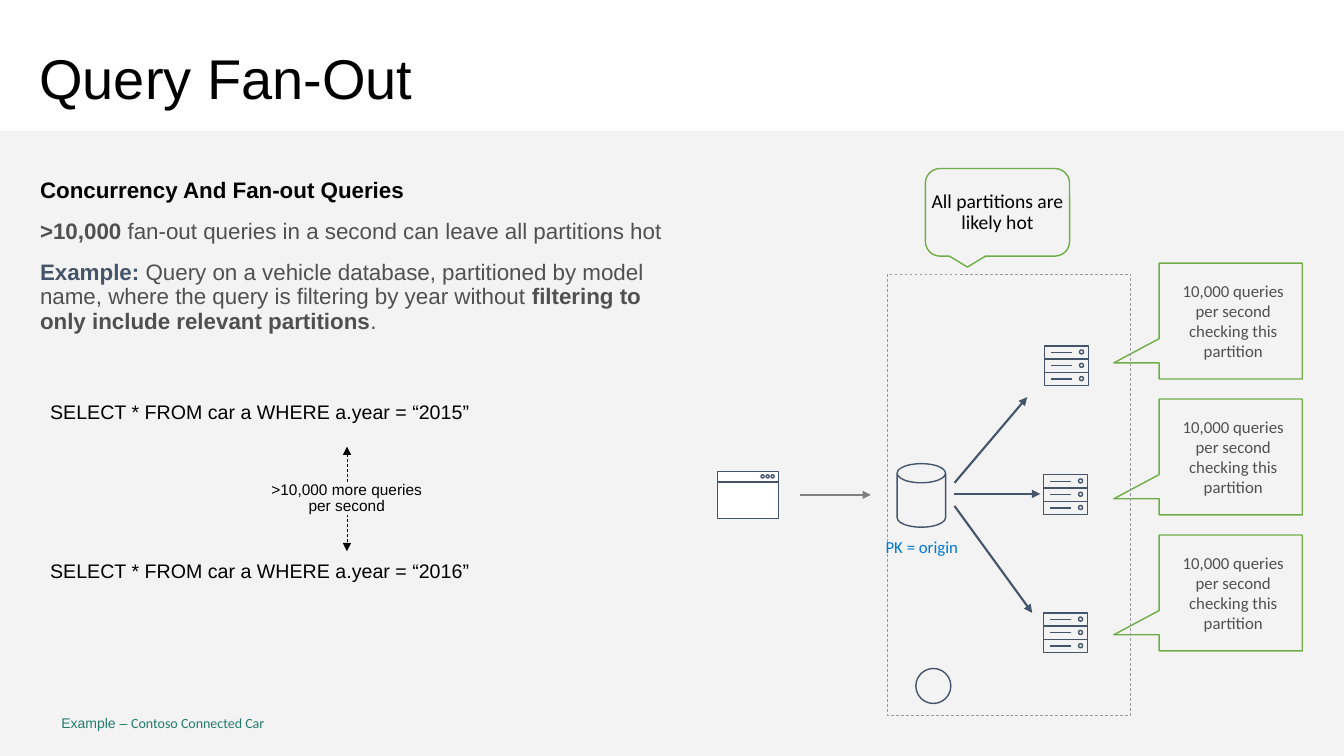
from dataclasses import dataclass

from lxml import etree
from pptx import Presentation
from pptx.dml.color import RGBColor
from pptx.enum.dml import MSO_LINE
from pptx.enum.shapes import MSO_CONNECTOR, MSO_SHAPE
from pptx.enum.text import MSO_ANCHOR, MSO_AUTO_SIZE, PP_ALIGN
from pptx.oxml.ns import qn
from pptx.shapes.autoshape import Shape
from pptx.shapes.connector import Connector
from pptx.shapes.shapetree import GroupShapes, SlideShapes
from pptx.text.text import TextFrame
from pptx.util import Pt

RECT, OVAL, CAN = MSO_SHAPE.RECTANGLE, MSO_SHAPE.OVAL, MSO_SHAPE.CAN
BUBBLE = MSO_SHAPE.ROUNDED_RECTANGULAR_CALLOUT
STRAIGHT, DASH = MSO_CONNECTOR.STRAIGHT, MSO_LINE.DASH
LEFT, CENTER = PP_ALIGN.LEFT, PP_ALIGN.CENTER
TOP, MIDDLE = MSO_ANCHOR.TOP, MSO_ANCHOR.MIDDLE
FIXED, GROW = MSO_AUTO_SIZE.NONE, MSO_AUTO_SIZE.SHAPE_TO_FIT_TEXT
BOTTOM_SITE, TOP_SITE = 2, 0

Box = tuple[float, float, float, float]
Point = tuple[float, float]


@dataclass(frozen=True)
class Theme:
    sans: str = "Arial"
    humanist: str = "Calibri"
    black: str = "000000"
    white: str = "FFFFFF"
    panel: str = "F2F2F2"
    label: str = "F3F3F3"
    grey: str = "505050"
    navy: str = "44546A"
    green: str = "70AD47"
    border: str = "999999"
    request: str = "808080"
    key: str = "0078D7"
    example: str = "227B6D"
    title_size: float = 40
    body_size: float = 16
    query_size: float = 14
    note_size: float = 12
    rate_size: float = 11
    example_size: float = 10
    thin: float = 0.5
    line: float = 1
    arrow: float = 1.5


THEME = Theme()


@dataclass(frozen=True)
class Span:
    text: str
    size: float
    color: str = THEME.black
    font: str = THEME.sans
    bold: bool = False


@dataclass(frozen=True)
class Arrow:
    start: Point
    end: Point
    color: str = THEME.navy


def write(frame: TextFrame, paragraphs: list[list[Span]], align: PP_ALIGN = LEFT,
          anchor: MSO_ANCHOR = TOP, insets: Box = (7.2, 3.6, 7.2, 3.6), spacing: float = 0.9,
          before: float = 0, after: float = 0, fit: MSO_AUTO_SIZE = FIXED, wrap: bool = True) -> None:
    frame.word_wrap, frame.auto_size, frame.vertical_anchor = wrap, fit, anchor
    frame.margin_left, frame.margin_top, frame.margin_right, frame.margin_bottom = map(Pt, insets)
    for index, spans in enumerate(paragraphs):
        paragraph = frame.add_paragraph() if index else frame.paragraphs[0]
        paragraph.alignment, paragraph.line_spacing = align, spacing
        paragraph.space_before, paragraph.space_after = Pt(before), Pt(after)
        for span in spans:
            done = len(paragraph.runs)
            if done:
                paragraph.add_run().text = span.text
            else:
                paragraph.text = span.text
            for run in paragraph.runs[done:]:
                run.font.name, run.font.size, run.font.bold = span.font, Pt(span.size), span.bold
                run.font.color.rgb = RGBColor.from_string(span.color)


def paint(shape: Shape, fill: str | None = None, line: str | None = None,
          width: float = THEME.line) -> Shape:
    shape.shadow.inherit = False
    if fill:
        shape.fill.solid()
        shape.fill.fore_color.rgb = RGBColor.from_string(fill)
    else:
        shape.fill.background()
    if line:
        shape.line.color.rgb = RGBColor.from_string(line)
        shape.line.width = Pt(width)
    else:
        shape.line.fill.background()
    return shape


def add_preset(shapes: SlideShapes | GroupShapes, kind: MSO_SHAPE, box: Box,
               fill: str | None = None, line: str | None = THEME.navy,
               width: float = THEME.line) -> Shape:
    return paint(shapes.add_shape(kind, *map(Pt, box)), fill, line, width)


def add_line(shapes: SlideShapes | GroupShapes, start: Point, end: Point, color: str = THEME.navy,
             width: float = THEME.line, dashed: bool = False, heads: tuple[str, ...] = ()) -> Connector:
    line = shapes.add_connector(STRAIGHT, *map(Pt, start + end))
    line.line.color.rgb = RGBColor.from_string(color)
    line.line.width = Pt(width)
    if dashed:
        line.line.dash_style = DASH
    for head in heads:
        etree.SubElement(line.line._ln, qn(f"a:{head}"), type="triangle")
    etree.SubElement(line._element.spPr, qn("a:effectLst"))
    return line


def add_text(shapes: SlideShapes, box: Box, spans: list[Span], **layout) -> Shape:
    text_box = shapes.add_textbox(*map(Pt, box))
    write(text_box.text_frame, [spans], fit=GROW, **layout)
    return text_box


def add_server(slide_shapes: SlideShapes, left: float, top: float) -> None:
    server = slide_shapes.add_group_shape().shapes
    for row in range(3):
        y = top + 9.5 * row
        add_preset(server, RECT, (left, y, 31.7, 9.5))
        add_preset(server, OVAL, (left + 25.2, y + 3, 2.9, 2.9))
        add_line(server, (left + 5, y + 4.7), (left + 19.8, y + 4.7))


def add_client(slide_shapes: SlideShapes, left: float, top: float) -> None:
    client = slide_shapes.add_group_shape().shapes
    add_preset(client, RECT, (left, top, 43.6, 33.4), THEME.white)
    add_line(client, (left, top + 7.2), (left + 43.6, top + 7.2))
    for dot in range(3):
        add_preset(client, OVAL, (left + 31 + 3.6 * dot, top + 2.2, 2.2, 2.2))


def add_load_callout(shapes: SlideShapes, top: float) -> None:
    tip, left, right, bottom = 795.6, 828, 930.2, top + 82.8
    builder = shapes.build_freeform(Pt(left), Pt(top))
    builder.add_line_segments([(Pt(x), Pt(y)) for x, y in (
        (right, top), (right, bottom), (left, bottom),
        (left, top + 71.3), (tip, top + 71.3), (left, top + 54))])
    callout = paint(builder.convert_to_shape(), line=THEME.green)
    write(callout.text_frame, [[Span("10,000 queries per second checking this partition",
                                     THEME.note_size, THEME.grey, THEME.humanist)]],
          CENTER, MIDDLE, (43.2, 7.2, 7.2, 7.2), spacing=1)


def main() -> None:
    deck = Presentation()
    deck.slide_width, deck.slide_height = Pt(960), Pt(540)
    slide = deck.slides.add_slide(deck.slide_layouts[1])
    shapes = slide.shapes

    # Backdrop, behind the placeholders
    panel = add_preset(shapes, RECT, (0, 93.6, 960, 446.4), THEME.panel, None)
    panel_color = panel._element.spPr.find(qn("a:solidFill"))[0]
    etree.SubElement(panel_color, qn("a:alpha"), val="89000")
    shapes._spTree.insert(2, panel._element)

    # Title and explanation
    title, body = shapes.title, slide.placeholders[1]
    for holder, box in ((title, (20.9, 23, 918, 70.6)), (body, (21.4, 124.6, 467.3, 135.4))):
        holder.left, holder.top, holder.width, holder.height = map(Pt, box)
    write(title.text_frame, [[Span("Query Fan-Out", THEME.title_size)]], anchor=MIDDLE)
    size, grey = THEME.body_size, THEME.grey
    write(body.text_frame, [
        [Span("Concurrency And Fan-out Queries", size, bold=True)],
        [Span(">10,000", size, grey, bold=True),
         Span(" fan-out queries in a second can leave all partitions hot", size, grey)],
        [Span("Example: ", size, THEME.navy, bold=True),
         Span("Query on a vehicle database, partitioned by model name, where the query is "
              "filtering by year without ", size, grey),
         Span("filtering to only include relevant partitions", size, grey, bold=True),
         Span(".", size, grey)]], before=12)
    for paragraph in body.text_frame.paragraphs:
        properties = paragraph._p.get_or_add_pPr()
        properties.set("marL", "0")
        properties.set("indent", "0")
        etree.SubElement(properties, qn("a:buNone"))

    # Sample queries and their rate
    first_query, last_query = [
        add_text(shapes, (21.4, top, 452.9, 38.9),
                 [Span(f"SELECT * FROM car a WHERE a.year = “{year}”", THEME.query_size)],
                 insets=(14.4, 11.5, 14.4, 11.5), after=6)
        for year, top in ((2015, 280.1), (2016, 393.8))]
    between = add_line(shapes, (247.8, 319), (247.8, 393.8), THEME.black, THEME.thin, True,
                       ("headEnd", "tailEnd"))
    between.begin_connect(first_query, BOTTOM_SITE)
    between.end_connect(last_query, TOP_SITE)
    rate = add_preset(shapes, RECT, (182.2, 344.2, 131, 23.8), THEME.label, None)
    write(rate.text_frame, [[Span(">10,000 more queries\vper second", THEME.rate_size)]],
          CENTER, insets=(0, 0, 0, 0), after=6, fit=GROW)

    # Callouts
    for index in range(3):
        add_load_callout(shapes, 187.9 + 97.1 * index)
    hot = add_preset(shapes, BUBBLE, (661, 120.4, 103, 62.6), line=THEME.green)
    write(hot.text_frame, [[Span("All partitions are likely hot", THEME.query_size,
                                 font=THEME.humanist)]], CENTER, MIDDLE, (0, 0, 0, 0))

    # Partitioned database, with a plain marker for the service
    container = add_preset(shapes, RECT, (634, 195.8, 173.5, 315.4), None, THEME.border, THEME.thin)
    container.line.dash_style = DASH
    add_preset(shapes, OVAL, (654.2, 477.5, 25, 25))
    database = add_preset(shapes, CAN, (640.8, 331.2, 34.6, 45.4))
    database.adjustments[0] = 0.395
    for left, top in ((745.9, 247), (745.2, 339.1), (745.2, 437.8)):
        add_server(shapes, left, top)
    add_client(shapes, 512.6, 337)
    for arrow in (Arrow((571.7, 353.5), (622.1, 353.5), THEME.request),
                  Arrow((681.8, 352.8), (743, 352.8)),
                  Arrow((681.8, 361.4), (737.3, 437.8)),
                  Arrow((681.8, 344.9), (733.7, 283.7))):
        add_line(shapes, arrow.start, arrow.end, arrow.color, THEME.arrow, heads=("tailEnd",))
    add_text(shapes, (621.4, 379.8, 74.2, 21.6),
             [Span("PK = origin", THEME.note_size, THEME.key, THEME.humanist)],
             align=CENTER, spacing=1, wrap=False)

    # Example name
    add_text(shapes, (43.9, 511.9, 158.4, 10.8),
             [Span("Example – ", THEME.example_size, THEME.example),
              Span("Contoso Connected Car", THEME.example_size, THEME.example, THEME.humanist)],
             anchor=MIDDLE, insets=(0, 0, 0, 0), after=6)

    deck.save("out.pptx")


if __name__ == "__main__":
    main()
